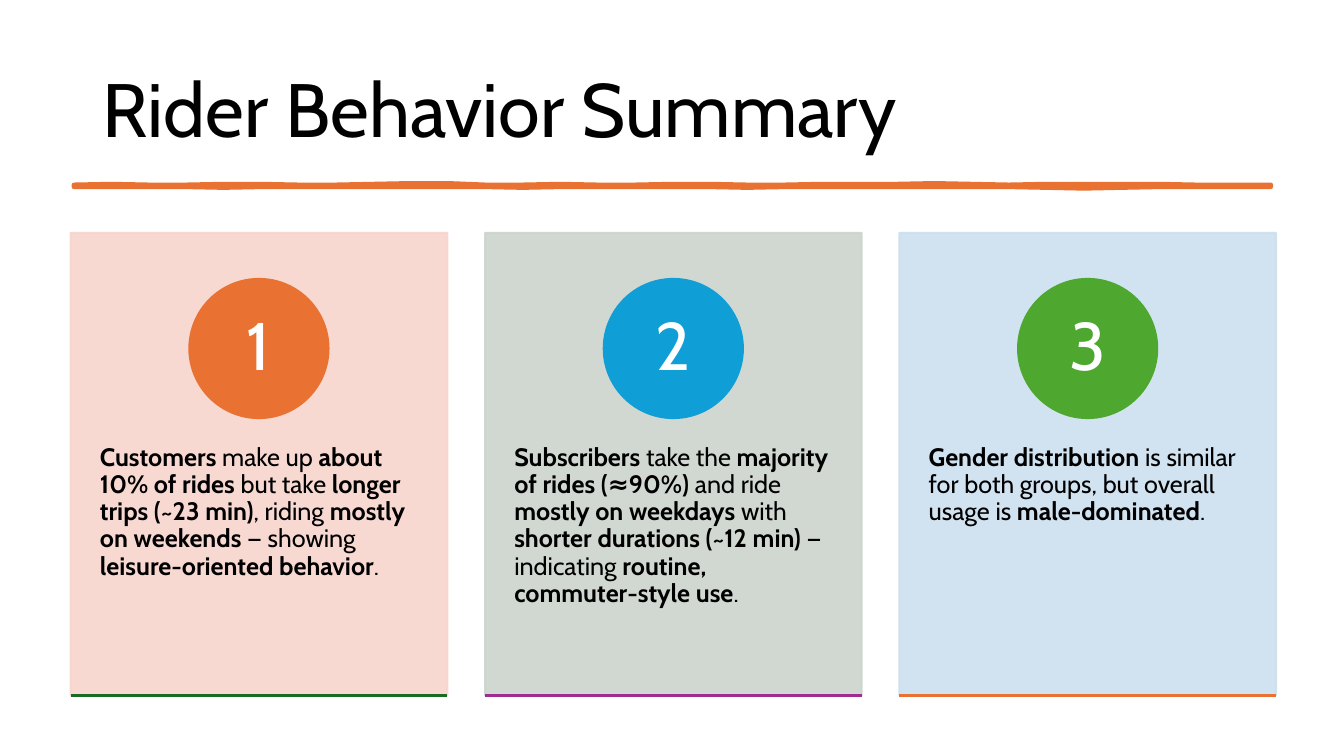
"""Build the rider behavior summary slide: a title, a wavy rule and three numbered cards."""
from dataclasses import dataclass

from lxml import etree
from pptx import Presentation
from pptx import util as u
from pptx.dml.color import RGBColor
from pptx.enum import shapes, text
from pptx.oxml.ns import qn


@dataclass(frozen=True)
class Theme:
    font: str = "Cabin"
    ink: str = "000000"
    paper: str = "FFFFFF"
    rule: str = "E97132"
    title_pt: float = 54
    number_pt: float = 48
    body_pt: float = 18
    edge_pt: float = 1.5
    rule_pt: float = 3.25
    card_alpha: int = 90


@dataclass(frozen=True)
class Box:
    """Hold an area in percent of the slide's width and height."""
    left: float
    top: float
    width: float
    height: float

    def emu(self) -> tuple[int, int, int, int]:
        return across(self.left), down(self.top), across(self.width), down(self.height)


@dataclass(frozen=True)
class Card:
    body: str
    fill: str
    badge: str
    base: str


THEME = Theme()
WIDTH, HEIGHT = u.Inches(13.33), u.Inches(7.5)
TITLE = Box(6.9, 5.33, 86.27, 19.33)
RULE = Box(5.5, 24.45, 89.05, 0.27)
FIRST_CARD = Box(5.26, 30.8, 28.02, 61.2)
CARD_PITCH = 30.83
BADGE_TOP, BADGE_WIDTH, BADGE_HEIGHT = 36.9, 10.35, 18.4
CARD_INSETS = {"margin_left": 0.29, "margin_top": 2.1, "margin_right": 0.29, "margin_bottom": 0.45}
BADGE_INSETS = dict.fromkeys(CARD_INSETS, 0)
TITLE_INSETS = {"margin_left": 0.1, "margin_top": 0.05, "margin_right": 0.1, "margin_bottom": 0.05}
WAVE_TOP = [0, -1, 0, 0, -1, -1, 0, 0, -1, -2, -2, 0, 0, -1, 0, 0, -1,
            -1, 0, 0, -1, -1, -1, -2, -1, 0, -1, -1, -1, -1, 0, 0, 0]
WAVE_BOTTOM = [0, 0, 0, 0, 1, 0, 0, 0, 0, 0, 0, 0, 1, 0, 0, 0, 0,
               0, 1, 0, 0, 0, 0, 0, 0, 0, 1, 2, 1, 0, 0, 0, 0]
CARDS = [
    Card("**Customers** make up **about 10% of rides** but take **longer trips (~23 min)**, "
         "riding **mostly on weekends** — showing **leisure-oriented behavior**.",
         "F7D5CE", "E97132", "196B24"),
    Card("**Subscribers** take the **majority of rides (≈90%)** and ride **mostly on weekdays** "
         "with **shorter durations (~12 min)** — indicating **routine, commuter-style use**.",
         "CCD4CD", "0F9ED5", "A02B93"),
    Card("**Gender distribution** is similar for both groups, but overall usage is "
         "**male-dominated**.",
         "CCDFEF", "4EA72E", "E97132"),
]


def across(percent: float) -> int:
    return round(WIDTH * percent / 100)


def down(percent: float) -> int:
    return round(HEIGHT * percent / 100)


def paint(sp, color: str, width: float, alpha: int = 100) -> None:
    sp.shadow.inherit = False
    sp.fill.solid()
    sp.fill.fore_color.rgb = RGBColor.from_string(color)
    sp.line.color.rgb = RGBColor.from_string(color)
    sp.line.width = u.Pt(width)
    if alpha < 100:
        for clr in sp._element.spPr.iter(qn("a:srgbClr")):
            etree.SubElement(clr, qn("a:alpha"), val=str(alpha * 1000))


def write(sp, marked: str, size: float, color: str, insets: dict[str, float],
          anchor=text.MSO_ANCHOR.MIDDLE, align=text.PP_ALIGN.LEFT) -> None:
    tf = sp.text_frame
    frame = {"word_wrap": True, "vertical_anchor": anchor}
    frame |= {side: u.Inches(inset) for side, inset in insets.items()}
    for name, value in frame.items():
        setattr(tf, name, value)
    p = tf.paragraphs[0]
    for name, value in {"alignment": align, "line_spacing": 0.9}.items():
        setattr(p, name, value)
    for i, part in enumerate(marked.split("**")):
        if part:
            r = p.add_run()
            r.text = part
            for name, value in {"name": THEME.font, "size": u.Pt(size), "bold": i % 2 == 1}.items():
                setattr(r.font, name, value)
            r.font.color.rgb = RGBColor.from_string(color)


def draw_rule(s) -> None:
    step = RULE.width / (len(WAVE_TOP) - 1)
    upper = [(across(RULE.left + i * step), down(RULE.top + dy / 10))
             for i, dy in enumerate(WAVE_TOP)]
    lower = [(across(RULE.left + i * step), down(RULE.top + RULE.height + dy / 10))
             for i, dy in enumerate(WAVE_BOTTOM)]
    outline = upper + lower[::-1]
    builder = s.shapes.build_freeform(*outline[0])
    builder.add_line_segments(outline[1:], close=True)
    paint(builder.convert_to_shape(), THEME.rule, THEME.rule_pt)


def draw_card(s, index: int, card: Card) -> None:
    left = FIRST_CARD.left + index * CARD_PITCH
    area = Box(left, FIRST_CARD.top, FIRST_CARD.width, FIRST_CARD.height)
    panel = s.shapes.add_shape(shapes.MSO_SHAPE.RECTANGLE, *area.emu())
    paint(panel, card.fill, THEME.edge_pt, THEME.card_alpha)
    write(panel, card.body, THEME.body_pt, THEME.ink, CARD_INSETS, text.MSO_ANCHOR.TOP)

    spot = Box(left + (area.width - BADGE_WIDTH) / 2, BADGE_TOP, BADGE_WIDTH, BADGE_HEIGHT)
    badge = s.shapes.add_shape(shapes.MSO_SHAPE.OVAL, *spot.emu())
    paint(badge, card.badge, THEME.edge_pt)
    write(badge, str(index + 1), THEME.number_pt, THEME.paper, BADGE_INSETS,
          align=text.PP_ALIGN.CENTER)

    bottom = down(area.top + area.height)
    base = s.shapes.add_connector(shapes.MSO_CONNECTOR.STRAIGHT, across(left), bottom,
                                  across(left + area.width), bottom)
    base.line.color.rgb = RGBColor.from_string(card.base)
    base.line.width = u.Pt(THEME.edge_pt)
    etree.SubElement(base._element.spPr, qn("a:effectLst"))


def main() -> None:
    prs = Presentation()
    prs.slide_width, prs.slide_height = WIDTH, HEIGHT
    s = prs.slides.add_slide(prs.slide_layouts[6])
    title = s.shapes.add_textbox(*TITLE.emu())
    write(title, "Rider Behavior Summary", THEME.title_pt, THEME.ink, TITLE_INSETS)
    draw_rule(s)
    for index, card in enumerate(CARDS):
        draw_card(s, index, card)
    prs.save("out.pptx")


if __name__ == "__main__":
    main()
